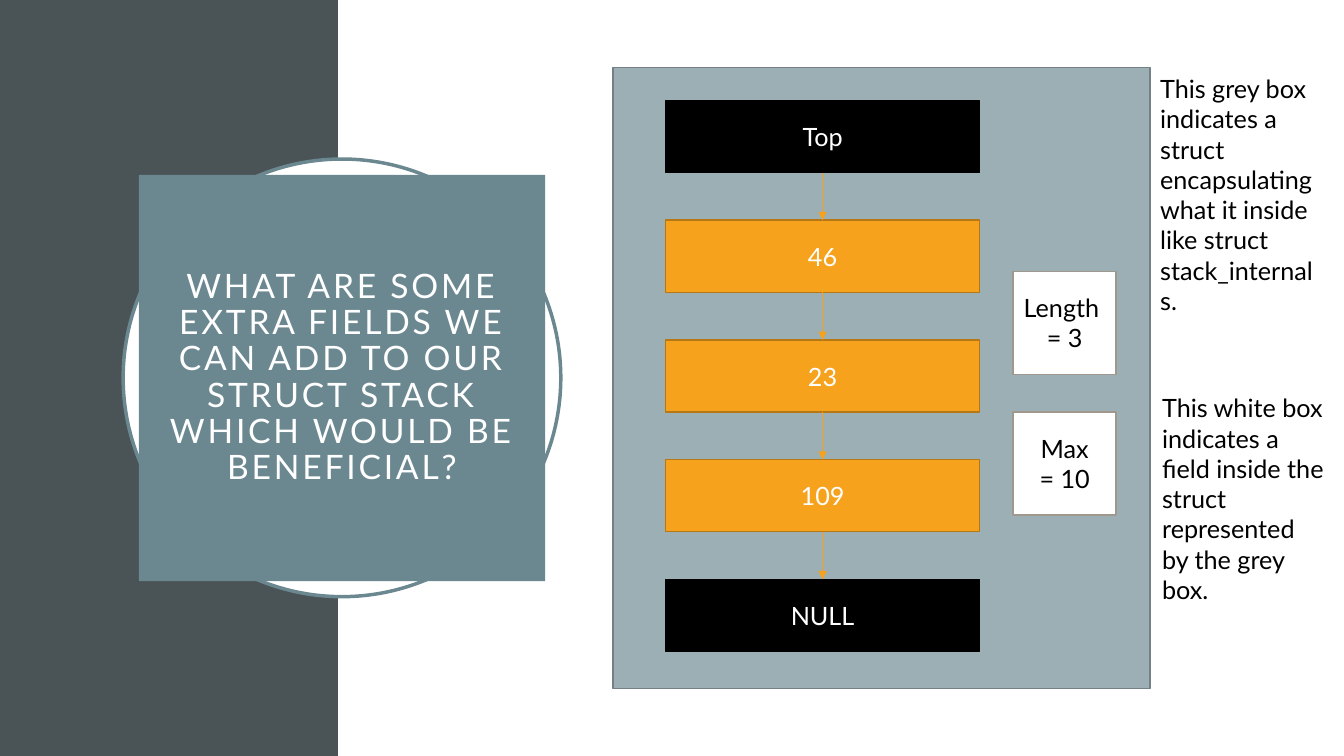
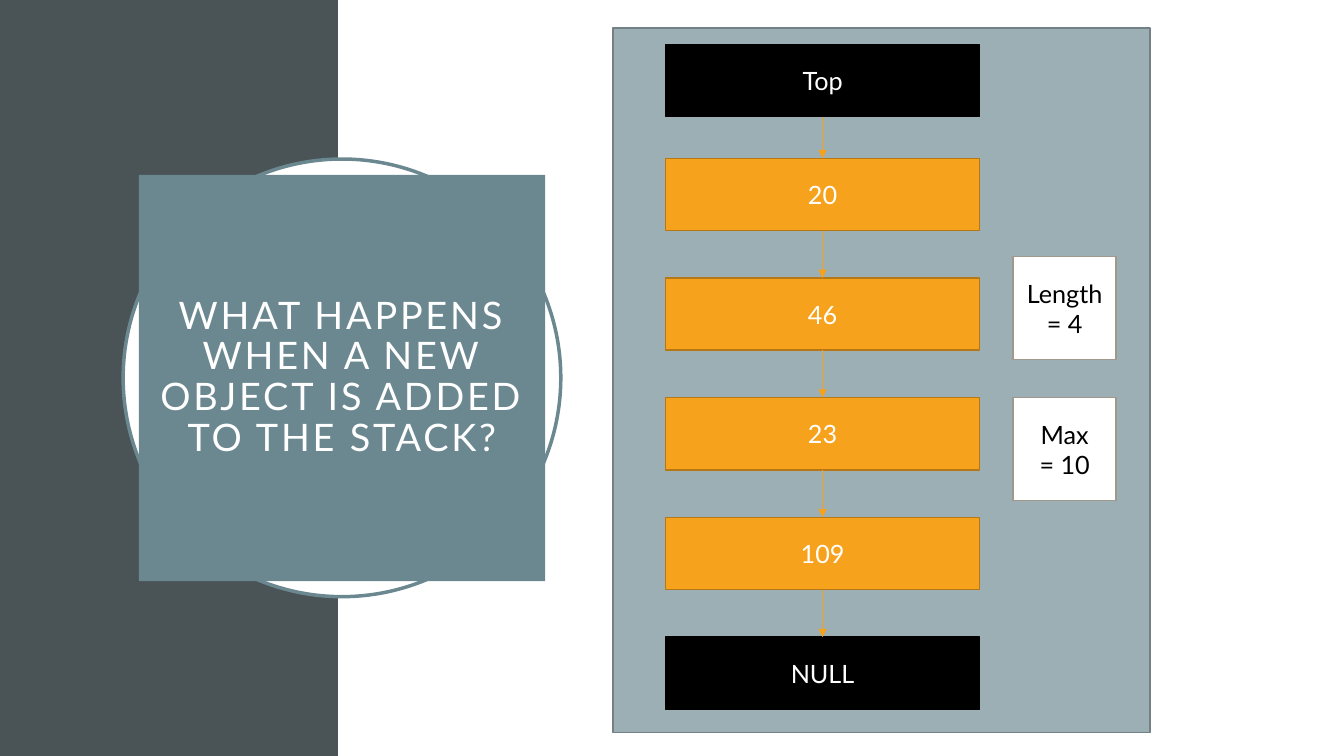
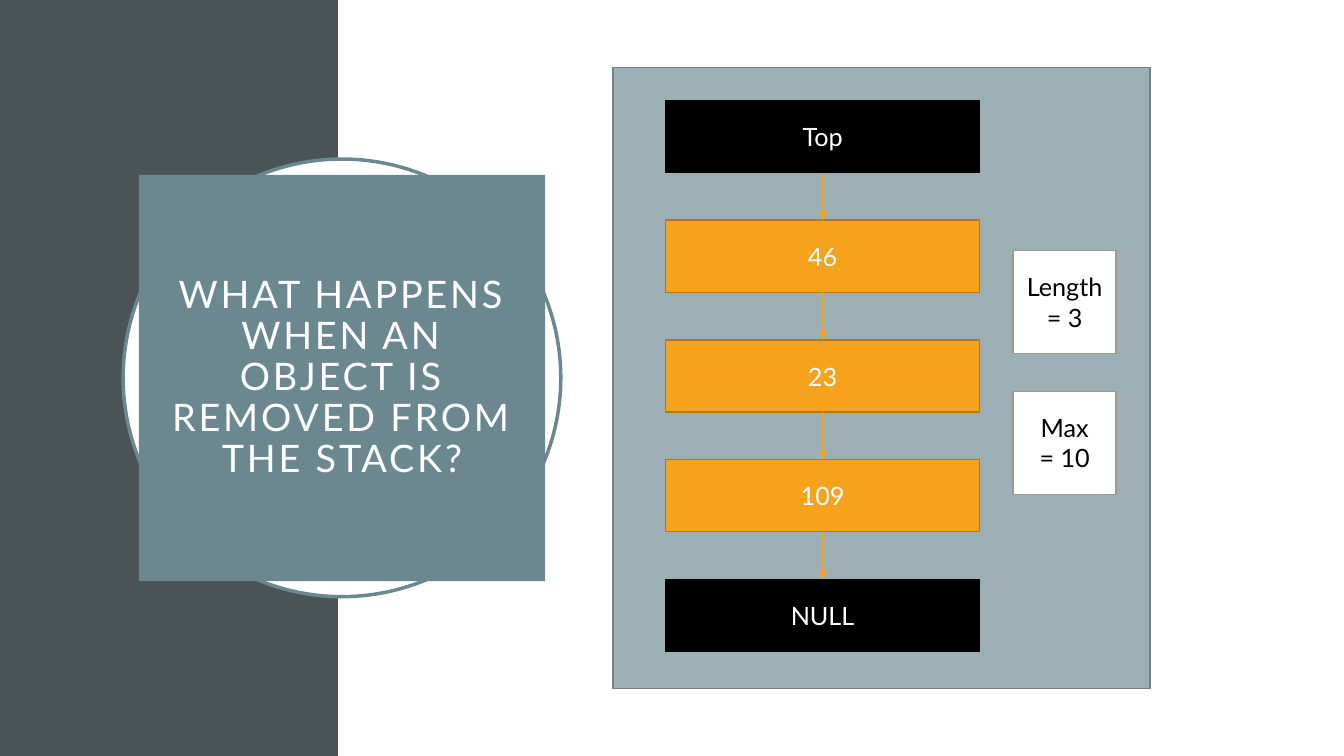
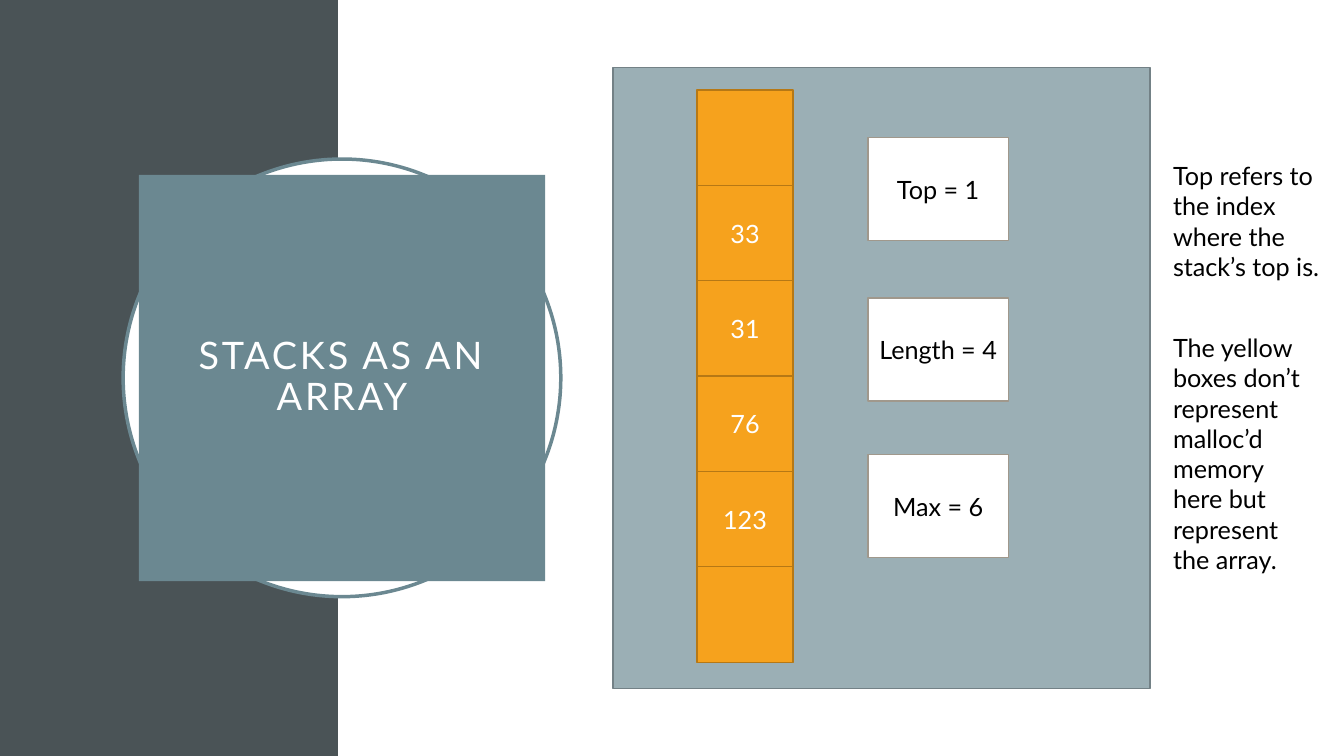
"""Build four slides that show a stack as a linked list and as an array."""
from pptx import Presentation
from pptx.dml.color import RGBColor
from pptx.enum.shapes import MSO_CONNECTOR, MSO_SHAPE
from pptx.enum.text import MSO_ANCHOR, PP_ALIGN
from pptx.oxml.ns import qn
from pptx.util import Pt
from lxml.etree import SubElement

HEX = {
    "dark": "4A5356", "teal": "6B8891", "panel": "9BAFB5", "rim": "738186",
    "gold": "F6A21D", "amber": "B67815", "stone": "A0988C",
    "black": "000000", "white": "FFFFFF",
}
FONT = "Lato"
PANEL = (437.8, 48.4, 383.8, 443.5)
TALL = (437.8, 20, 383.8, 503.3)
PITCH = 85.5

LISTS = [
    {
        "title": "WHAT ARE SOME EXTRA FIELDS WE CAN ADD TO OUR STRUCT STACK "
                 "WHICH WOULD BE BENEFICIAL?",
        "size": 24, "panel": PANEL, "head": 71.8, "first": 157.3,
        "values": ["46", "23", "109"],
        "fields": ["Length \n= 3", "Max\n= 10"], "side": 193.8,
        "notes": [
            (821.6, 49, 131, 160, "This grey box indicates a struct encapsulating "
             "what it inside like struct\nstack_internals."),
            (823, 277, 131, 138, "This white box indicates a field inside the struct "
             "represented by the grey box."),
        ],
    },
    {
        "title": "WHAT HAPPENS WHEN A NEW OBJECT IS ADDED TO THE STACK?",
        "size": 27, "panel": TALL, "head": 31.8, "first": 113.1,
        "values": ["20", "46", "23", "109"],
        "fields": ["Length\n= 4", "Max\n= 10"], "side": 183.4, "notes": [],
    },
    {
        "title": "WHAT HAPPENS WHEN AN OBJECT IS REMOVED FROM THE STACK?",
        "size": 27, "panel": PANEL, "head": 71.8, "first": 157.3,
        "values": ["46", "23", "109"],
        "fields": ["Length\n= 3", "Max\n= 10"], "side": 178.9, "notes": [],
    },
]
ARRAY = {
    "title": "STACKS AS AN ARRAY", "size": 27, "panel": PANEL,
    "cells": ["", "33", "31", "76", "123", ""],
    "fields": [("Top = 1", 98.4), ("Length = 4", 213), ("Max = 6", 324.8)],
    "notes": [
        (830.8, 111, 130.3, 94, "Top refers to the index where the stack’s top is."),
        (830.8, 234, 118, 160, "The yellow boxes don’t represent malloc’d memory "
         "here but represent the array."),
    ],
}


def tone(name):
    return RGBColor.from_string(HEX[name])


def write(shape, text, color, size=18, align=PP_ALIGN.CENTER):
    frame = shape.text_frame
    frame.text = text
    frame.word_wrap = True
    for para in frame.paragraphs:
        para.alignment = align
        for run in para.runs:
            run.font.name = FONT
            run.font.size = Pt(size)
            run.font.color.rgb = tone(color)
    return frame


def block(slide, area, fill, line=None, width=1, kind=MSO_SHAPE.RECTANGLE):
    shape = slide.shapes.add_shape(kind, *map(Pt, area))
    shape.shadow.inherit = False
    shape.fill.solid()
    shape.fill.fore_color.rgb = tone(fill)
    if line:
        shape.line.color.rgb = tone(line)
        shape.line.width = Pt(width)
    else:
        shape.line.fill.background()
    return shape


def label(slide, area, text, fill, line, color):
    shape = block(slide, area, fill, line)
    if text:
        write(shape, text, color).vertical_anchor = MSO_ANCHOR.MIDDLE
    return shape


def arrow(slide, start, end):
    link = slide.shapes.add_connector(MSO_CONNECTOR.STRAIGHT, 0, 0, 0, 0)
    link.begin_connect(start, 2)
    link.end_connect(end, 0)
    link.line.color.rgb = tone("gold")
    link.line.width = Pt(0.5)
    SubElement(link.line._get_or_add_ln(), qn("a:tailEnd"), type="triangle")
    SubElement(link._element.spPr, qn("a:effectLst"))


def base(deck, data):
    slide = deck.slides.add_slide(deck.slide_layouts[6])
    block(slide, (0, 0, 241.6, 540), "dark")
    block(slide, (241.6, 0, 718.4, 540), "white")
    block(slide, data["panel"], "panel", "rim")
    block(slide, (88, 113.6, 312.6, 312.6), "white", "teal", 2.5, MSO_SHAPE.OVAL)
    title = block(slide, (99.2, 125, 290.2, 290.2), "teal")
    frame = write(title, data["title"], "white", data["size"])
    frame.vertical_anchor = MSO_ANCHOR.MIDDLE
    frame.margin_left = frame.margin_right = Pt(14.4)
    frame.margin_top = frame.margin_bottom = Pt(14.4)
    para = frame.paragraphs[0]
    para.line_spacing = 0.9
    para.runs[0].font._element.set("spc", "200")
    for *area, text in data["notes"]:
        box = slide.shapes.add_textbox(*map(Pt, area))
        write(box, text, "black", align=PP_ALIGN.LEFT)
    return slide


def chain(deck, data):
    slide = base(deck, data)
    names = ["Top", *data["values"], "NULL"]
    last = None
    for i, name in enumerate(names):
        top = data["first"] + (i - 1) * PITCH if i else data["head"]
        end = i in (0, len(names) - 1)
        fill, line = ("black", "black") if end else ("gold", "amber")
        node = label(slide, (475.6, top, 224, 51.6), name, fill, line, "white")
        if last:
            arrow(slide, last, node)
        last = node
    for i, text in enumerate(data["fields"]):
        area = (723.7, data["side"] + i * 100.6, 73.6, 73.6)
        label(slide, area, text, "white", "stone", "black")


def array(deck, data):
    slide = base(deck, data)
    for i, text in enumerate(data["cells"]):
        area = (498, 64.2 + i * 68.1, 68.4, 68.4)
        label(slide, area, text, "gold", "amber", "white")
    for text, top in data["fields"]:
        label(slide, (620, top, 100.3, 73.6), text, "white", "stone", "black")


def main():
    deck = Presentation()
    deck.slide_width, deck.slide_height = Pt(960), Pt(540)
    for data in LISTS:
        chain(deck, data)
    array(deck, ARRAY)
    deck.save("out.pptx")


main()
